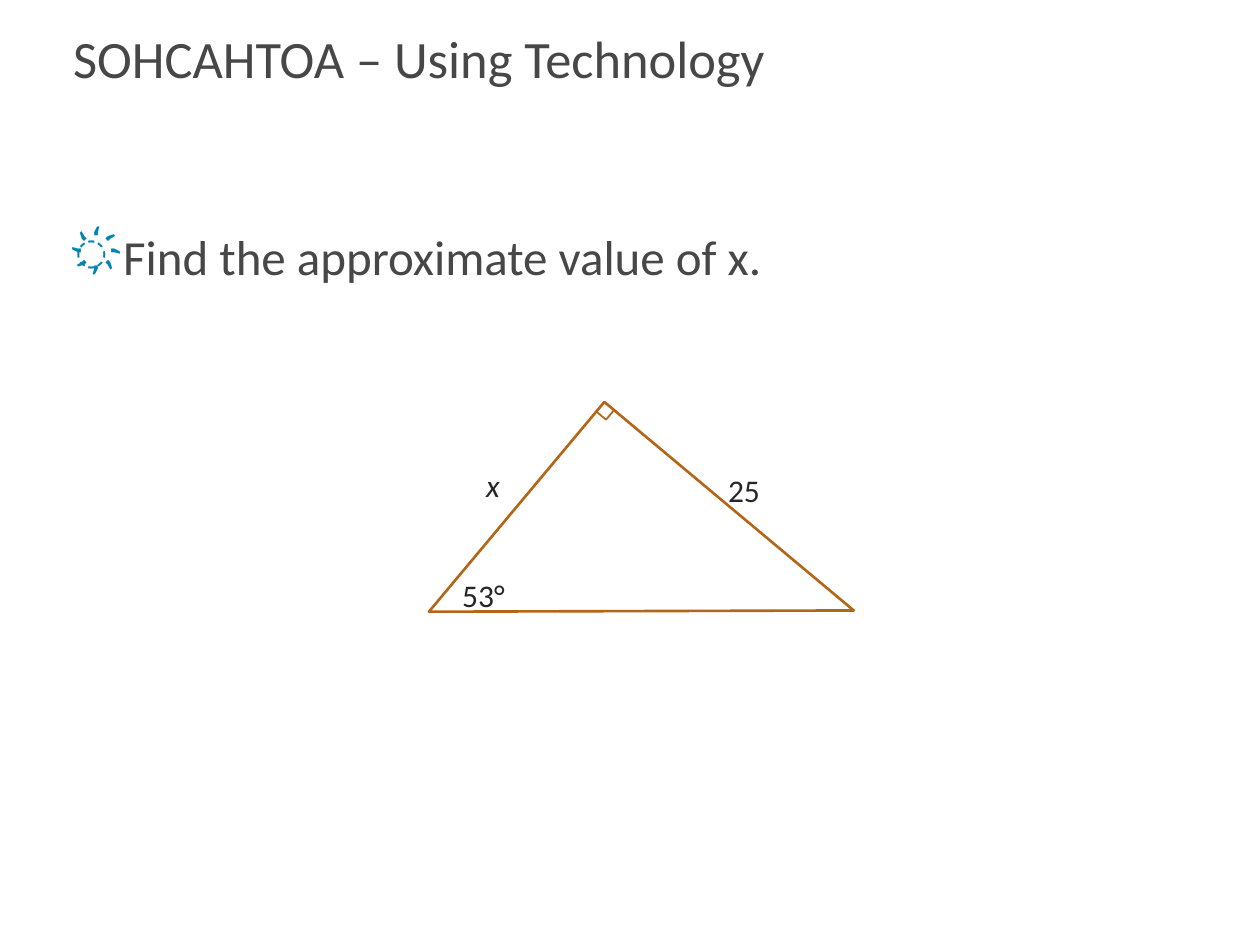
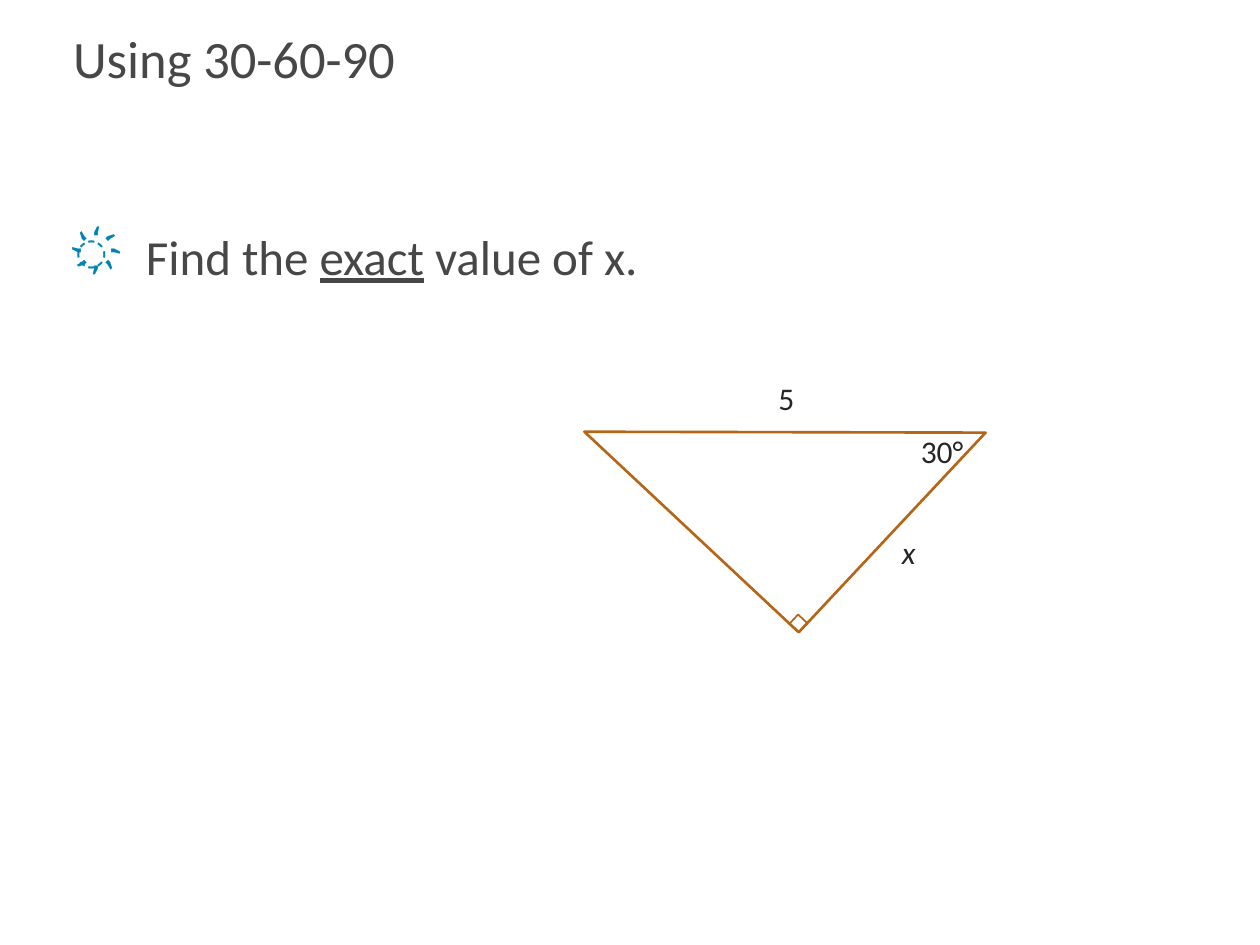
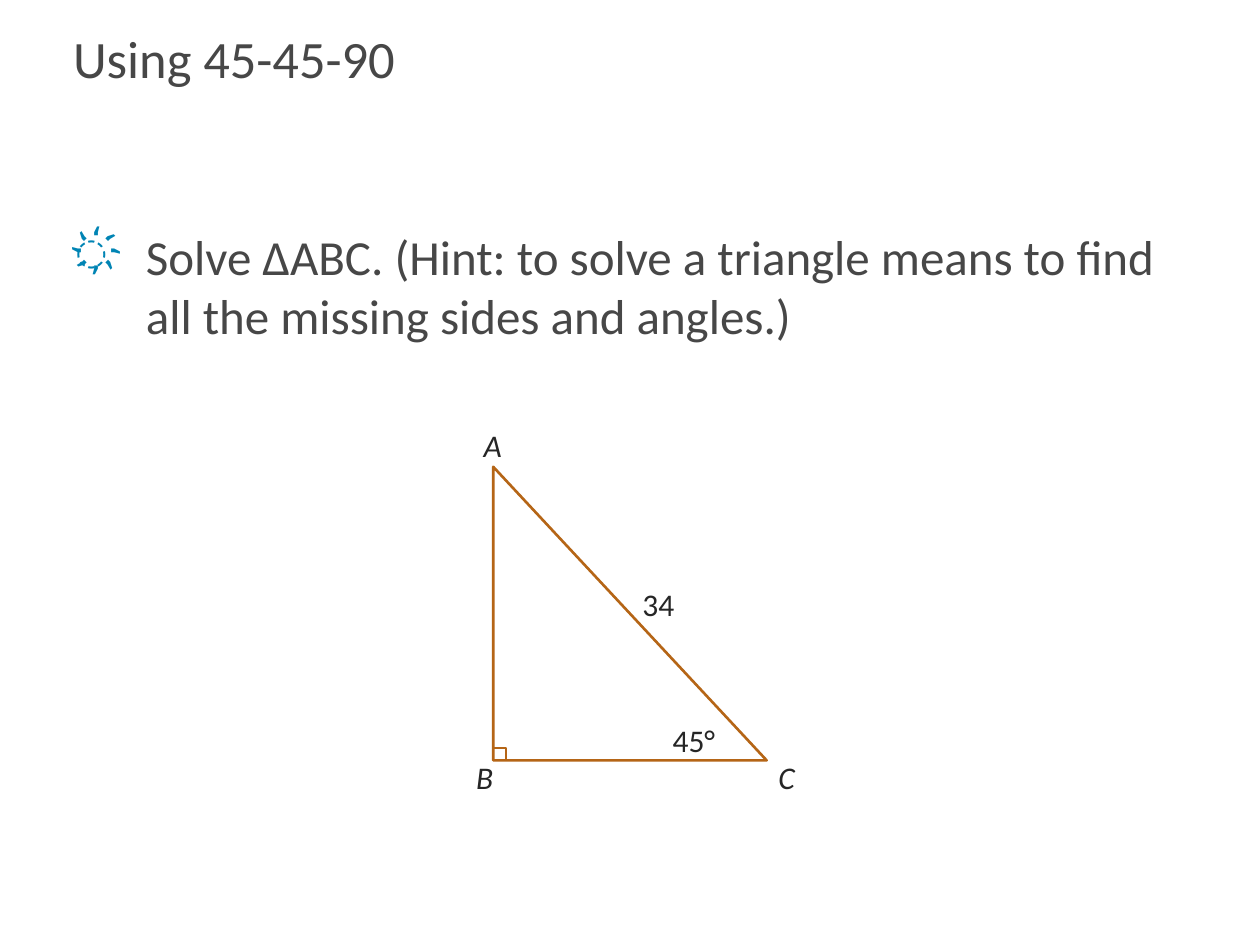
from math import cos, radians, sin

from lxml.etree import SubElement
from pptx import Presentation
from pptx.dml.color import RGBColor
from pptx.enum.shapes import MSO_SHAPE as SHAPE
from pptx.enum.text import MSO_ANCHOR, MSO_AUTO_SIZE as FIT, PP_ALIGN
from pptx.oxml.ns import qn
from pptx.util import Inches, Pt

FONT = "Calibri"
TEXT = RGBColor(0x47, 0x47, 0x47)
LABEL = RGBColor(0x26, 0x26, 0x26)
BULLET = RGBColor(0x00, 0x84, 0xB4)
OUTLINE = RGBColor(0xB5, 0x65, 0x16)
TITLE_ONLY = 5
MARK = 0.1


def place(sp, left, top, width, height):
    sp.left, sp.top = Inches(left), Inches(top)
    sp.width, sp.height = Inches(width), Inches(height)


def add_run(p, text, size, color, italic=False, underline=False):
    r = p.add_run()
    r.text = text
    r.font.name, r.font.size = FONT, Pt(size)
    r.font.color.rgb = color
    r.font.italic, r.font.underline = italic, underline


def add_text_box(shapes, left, top, width, height):
    tf = shapes.add_textbox(*map(Inches, (left, top, width, height))).text_frame
    tf.word_wrap = True
    return tf


def add_title_slide(prs, title):
    s = prs.slides.add_slide(prs.slide_layouts[TITLE_ONLY])
    place(s.shapes.title, 0.48, 0.08, 9.19, 0.75)
    tf = s.shapes.title.text_frame
    tf.auto_size = FIT.NONE
    tf.vertical_anchor = MSO_ANCHOR.MIDDLE
    p = tf.paragraphs[0]
    p.alignment = PP_ALIGN.LEFT
    add_run(p, title, 30, TEXT)
    return s


def add_task(s, runs, indent):
    """Add the bulleted task; runs are (text, underline) pairs."""
    p = add_text_box(s.shapes, 0.5, 1.75, 9, 4.95).paragraphs[0]
    pPr = p._p.get_or_add_pPr()
    pPr.set("marL", str(Inches(indent)))
    pPr.set("indent", str(-Inches(indent)))
    color = SubElement(pPr, qn("a:buClr"))
    SubElement(color, qn("a:srgbClr"), val=str(BULLET))
    SubElement(pPr, qn("a:buSzPct"), val="75000")
    SubElement(pPr, qn("a:buChar"), char="҉")
    for text, underline in runs:
        add_run(p, text, 28, TEXT, underline=underline)


def add_outline(shapes, kind, center, size, rotation, weight):
    (x, y), (w, h) = center, size
    sp = shapes.add_shape(kind, *map(Inches, (x - w / 2, y - h / 2, w, h)))
    sp.rotation = rotation
    sp.shadow.inherit = False
    sp.fill.background()
    sp.line.color.rgb = OUTLINE
    sp.line.width = Pt(weight)


def add_right_triangle(shapes, center, size, rotation):
    """Add a triangle with a square mark inside its right angle."""
    add_outline(shapes, SHAPE.RIGHT_TRIANGLE, center, size, rotation, 1.5)
    dx, dy = (MARK - size[0]) / 2, (size[1] - MARK) / 2
    c, s = cos(radians(rotation)), sin(radians(rotation))
    corner = center[0] + dx * c - dy * s, center[1] + dx * s + dy * c
    add_outline(shapes, SHAPE.RECTANGLE, corner, (MARK, MARK), rotation, 1)


def add_label(shapes, text, left, top, width):
    tf = add_text_box(shapes, left, top, width, 0.4)
    tf.auto_size = FIT.SHAPE_TO_FIT_TEXT
    add_run(tf.paragraphs[0], text, 18, LABEL, italic=text.isalpha())


def add_figure(s, center, size, rotation, labels):
    shapes = s.shapes.add_group_shape().shapes
    add_right_triangle(shapes, center, size, rotation)
    for label in labels:
        add_label(shapes, *label)


def main():
    prs = Presentation()
    prs.slide_width, prs.slide_height = Inches(10), Inches(7.5)

    s = add_title_slide(prs, "SOHCAHTOA – Using Technology")
    add_task(s, [("Find the approximate value of x.", False)], 0.38)
    add_figure(s, (5.09, 4.85), (2.17, 2.58), 129.9, [
        ("53°", 3.57, 4.52, 0.67),
        ("25", 5.68, 3.69, 0.67),
        ("x", 3.76, 3.65, 0.39),
    ])

    s = add_title_slide(prs, "Using 30-60-90")
    add_task(s, [("Find the ", False), ("exact", True),
                 (" value of x.", False)], 0.56)
    add_figure(s, (6.23, 3.43), (2.17, 2.33), 313.1, [
        ("30°", 7.21, 3.38, 0.67),
        ("5", 6.08, 2.96, 0.58),
        ("x", 7.06, 4.18, 0.39),
    ])

    s = add_title_slide(prs, "Using 45-45-90")
    add_task(s, [("Solve ΔABC. (Hint: to solve a triangle means to find "
                  "all the missing sides and angles.)", False)], 0.56)
    add_figure(s, (5, 4.87), (2.17, 2.33), 0, [
        ("45°", 5.24, 5.67, 0.67),
        ("34", 5, 4.59, 0.58),
        ("B", 3.68, 5.97, 0.39),
        ("A", 3.74, 3.33, 0.39),
        ("C", 6.08, 5.97, 0.39),
    ])

    prs.save("out.pptx")


if __name__ == "__main__":
    main()
